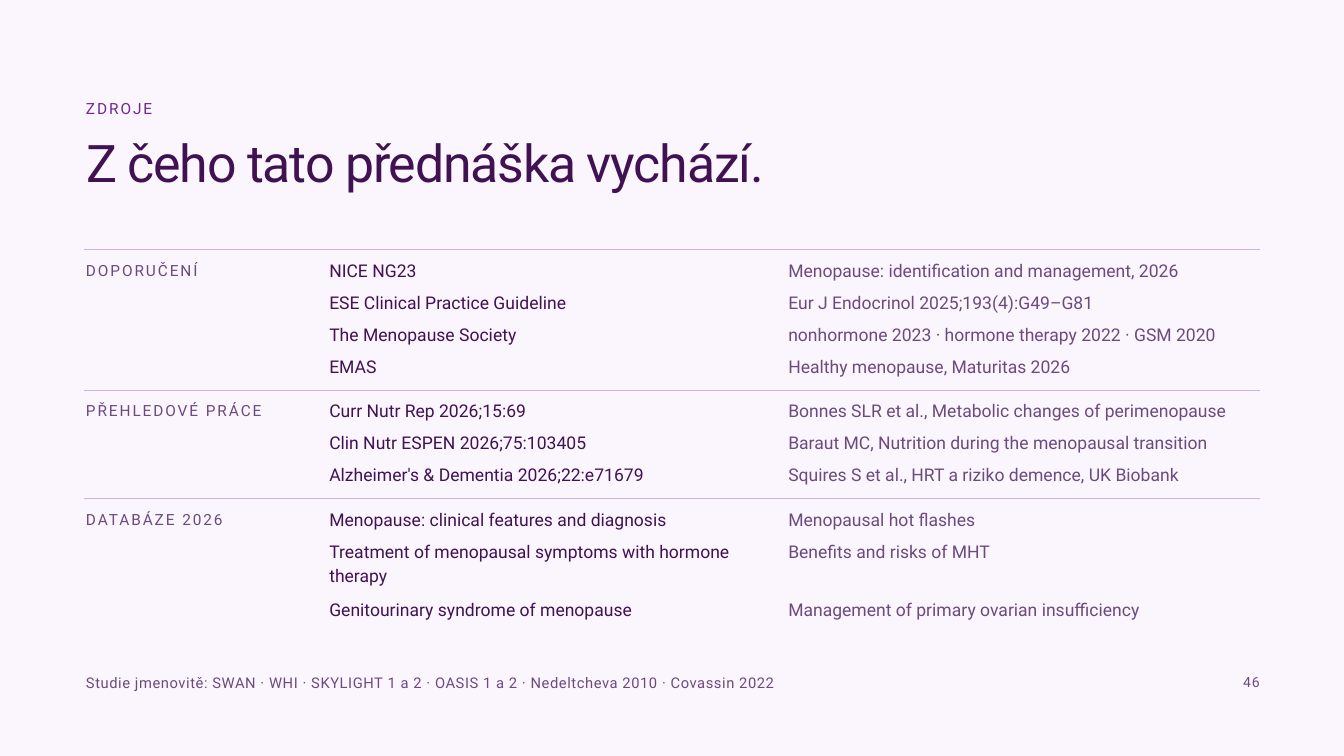
"""Builds the sources slide: a heading and three ruled groups of references."""
from lxml import etree
from pptx import Presentation
from pptx.dml.color import RGBColor
from pptx.enum.shapes import MSO_CONNECTOR
from pptx.enum.text import MSO_ANCHOR, MSO_AUTO_SIZE, PP_ALIGN
from pptx.oxml.ns import qn
from pptx.util import Inches, Pt

STRAIGHT = MSO_CONNECTOR.STRAIGHT
TOP, LEFT = MSO_ANCHOR.TOP, PP_ALIGN.LEFT
NO_FIT = MSO_AUTO_SIZE.NONE

BACKGROUND = RGBColor(0xFB, 0xF5, 0xFE)
DARK = RGBColor(0x40, 0x12, 0x52)
ACCENT = RGBColor(0x6D, 0x2A, 0x8C)
MUTED = RGBColor(0x6B, 0x4B, 0x7D)
RULE = RGBColor(0xCD, 0xB3, 0xDC)

WIDTH, HEIGHT = 20, 11.25
MARGIN = WIDTH / 16
LABEL_COL, SOURCE_COL, DETAIL_COL = (1.28, 3.16), (4.9, 6.55), (11.73, 7.21)
GROUPS_TOP, ROW_PITCH, EXTRA_LINE = 3.71, 0.475, 0.385
ROW_OFFSET, GROUP_PADDING = 0.11, 0.19

EYEBROW = {"size": 16.5, "color": ACCENT, "leading": 24.8, "spacing": 2.1}
TITLE = {"size": 55.5, "color": DARK, "leading": 56.7, "spacing": -1.3}
LABEL = {**EYEBROW, "color": MUTED}
SOURCE = {"size": 18.8, "color": DARK, "leading": 26, "spacing": 0}
DETAIL = {**SOURCE, "color": MUTED}
FOOTER = {"size": 15.8, "color": MUTED, "leading": 22.8, "spacing": 0.6}
NUMBER = {"size": 15, "color": MUTED, "leading": 22.4, "spacing": 0.9}

GROUPS = [
    ("DOPORUČENÍ", [
        ("NICE NG23", "Menopause: identification and management, 2026", 1),
        ("ESE Clinical Practice Guideline", "Eur J Endocrinol 2025;193(4):G49–G81", 1),
        ("The Menopause Society", "nonhormone 2023 · hormone therapy 2022 · GSM 2020", 1),
        ("EMAS", "Healthy menopause, Maturitas 2026", 1),
    ]),
    ("PŘEHLEDOVÉ PRÁCE", [
        ("Curr Nutr Rep 2026;15:69",
         "Bonnes SLR et al., Metabolic changes of perimenopause", 1),
        ("Clin Nutr ESPEN 2026;75:103405",
         "Baraut MC, Nutrition during the menopausal transition", 1),
        ("Alzheimer's & Dementia 2026;22:e71679",
         "Squires S et al., HRT a riziko demence, UK Biobank", 1),
    ]),
    ("DATABÁZE 2026", [
        ("Menopause: clinical features and diagnosis", "Menopausal hot flashes", 1),
        ("Treatment of menopausal symptoms with hormone therapy",
         "Benefits and risks of MHT", 2),
        ("Genitourinary syndrome of menopause",
         "Management of primary ovarian insufficiency", 1),
    ]),
]


def write(sp, text, style):
    """Put one styled run into a shape without insets."""
    tf = sp.text_frame
    frame = {"margin_left": 0, "margin_right": 0, "margin_top": 0, "margin_bottom": 0,
             "word_wrap": True, "auto_size": NO_FIT, "vertical_anchor": TOP}
    for name, value in frame.items():
        setattr(tf, name, value)
    p = tf.paragraphs[0]
    paragraph = {"alignment": LEFT, "line_spacing": Pt(style["leading"]),
                 "space_before": Pt(0)}
    for name, value in paragraph.items():
        setattr(p, name, value)
    r = p.add_run()
    r.text = text
    for name, value in {"name": "Roboto", "size": Pt(style["size"])}.items():
        setattr(r.font, name, value)
    r.font.color.rgb = style["color"]
    if style["spacing"]:
        r._r.get_or_add_rPr().set("spc", str(round(style["spacing"] * 100)))


def add_text(slide, column, top, height, text, style):
    """Add a text box in a column given as left and width."""
    left, width = column
    sp = slide.shapes.add_textbox(*map(Inches, (left, top, width, height)))
    write(sp, text, style)


def set_title(slide, text):
    """Move the title placeholder into place and fill it."""
    sp = slide.shapes.title
    box = {"left": LABEL_COL[0], "top": 2.08, "width": 0.8 * WIDTH, "height": 0.77}
    for name, value in box.items():
        setattr(sp, name, Inches(value))
    write(sp, text, TITLE)


def add_rule(slide, y):
    """Draw a hairline between the margins."""
    line = slide.shapes.add_connector(
        STRAIGHT, *map(Inches, (MARGIN, y, WIDTH - MARGIN, y)))
    line.line.color.rgb = RULE
    line.line.width = Pt(0.75)
    etree.SubElement(line._element.spPr, qn("a:effectLst"))


def add_group(slide, top, label, rows):
    """Add a ruled group of references and return the top of the next one."""
    add_rule(slide, top + 0.005)
    add_text(slide, LABEL_COL, top + 0.1, ROW_PITCH, label, LABEL)
    y = top + ROW_OFFSET
    for source, detail, lines in rows:
        pitch = ROW_PITCH + (lines - 1) * EXTRA_LINE
        add_text(slide, SOURCE_COL, y, pitch - 0.03, source, SOURCE)
        add_text(slide, DETAIL_COL, y, pitch - 0.03, detail, DETAIL)
        y += pitch
    return y - ROW_OFFSET + GROUP_PADDING


def main():
    """Build and save the slide."""
    prs = Presentation()
    prs.slide_width, prs.slide_height = Inches(WIDTH), Inches(HEIGHT)
    slide = prs.slides.add_slide(prs.slide_layouts[5])
    slide.background.fill.solid()
    slide.background.fill.fore_color.rgb = BACKGROUND

    add_text(slide, LABEL_COL, 1.41, 0.43, "ZDROJE", EYEBROW)
    set_title(slide, "Z čeho tato přednáška vychází.")
    top = GROUPS_TOP
    for label, rows in GROUPS:
        top = add_group(slide, top, label, rows)
    add_text(slide, (LABEL_COL[0], 14.84), 9.97, 0.38,
             "Studie jmenovitě: SWAN · WHI · SKYLIGHT 1 a 2 · OASIS 1 a 2 · "
             "Nedeltcheva 2010 · Covassin 2022", FOOTER)
    add_text(slide, (18.5, 0.3), 9.96, 0.39, "46", NUMBER)
    prs.save("out.pptx")


if __name__ == "__main__":
    main()
